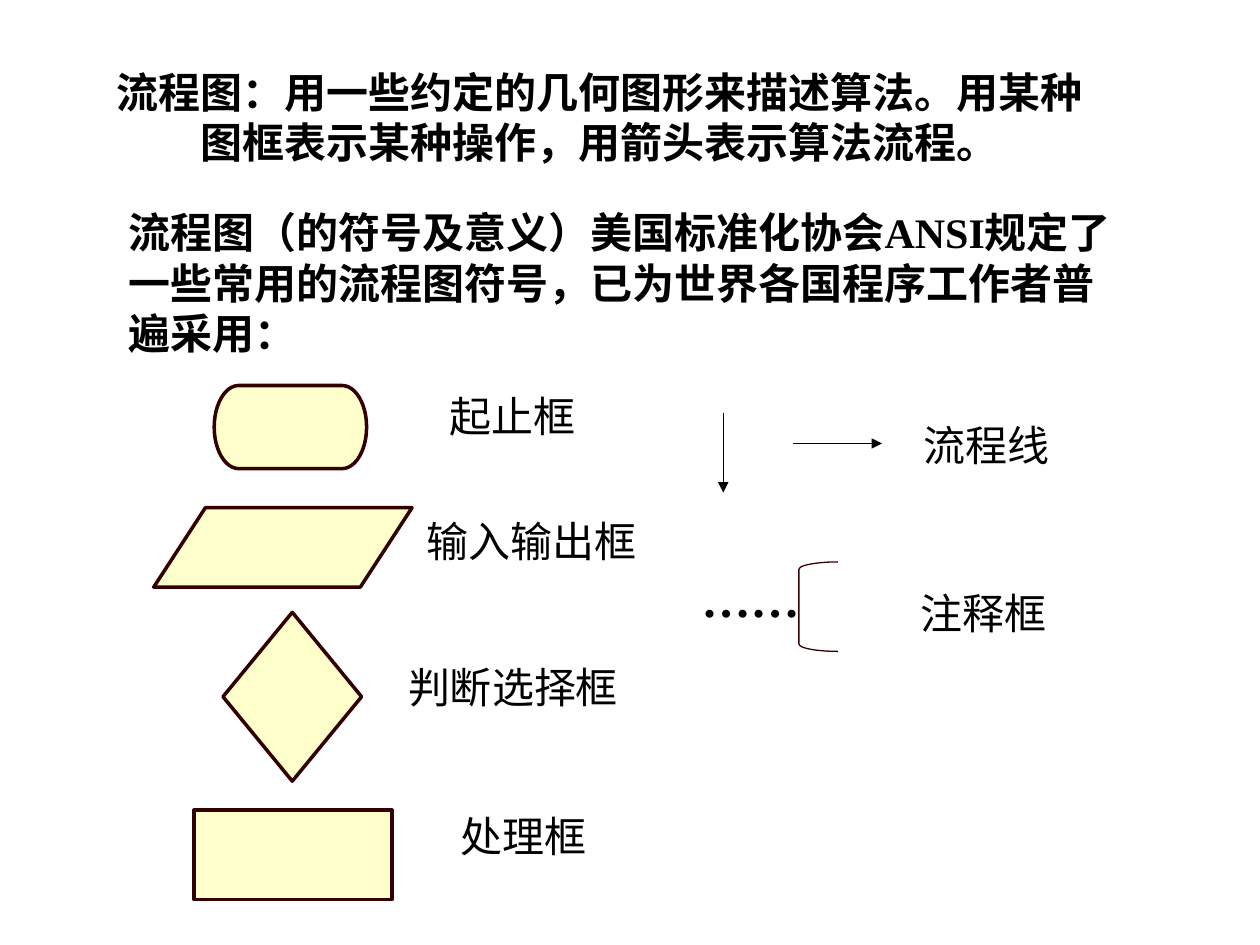
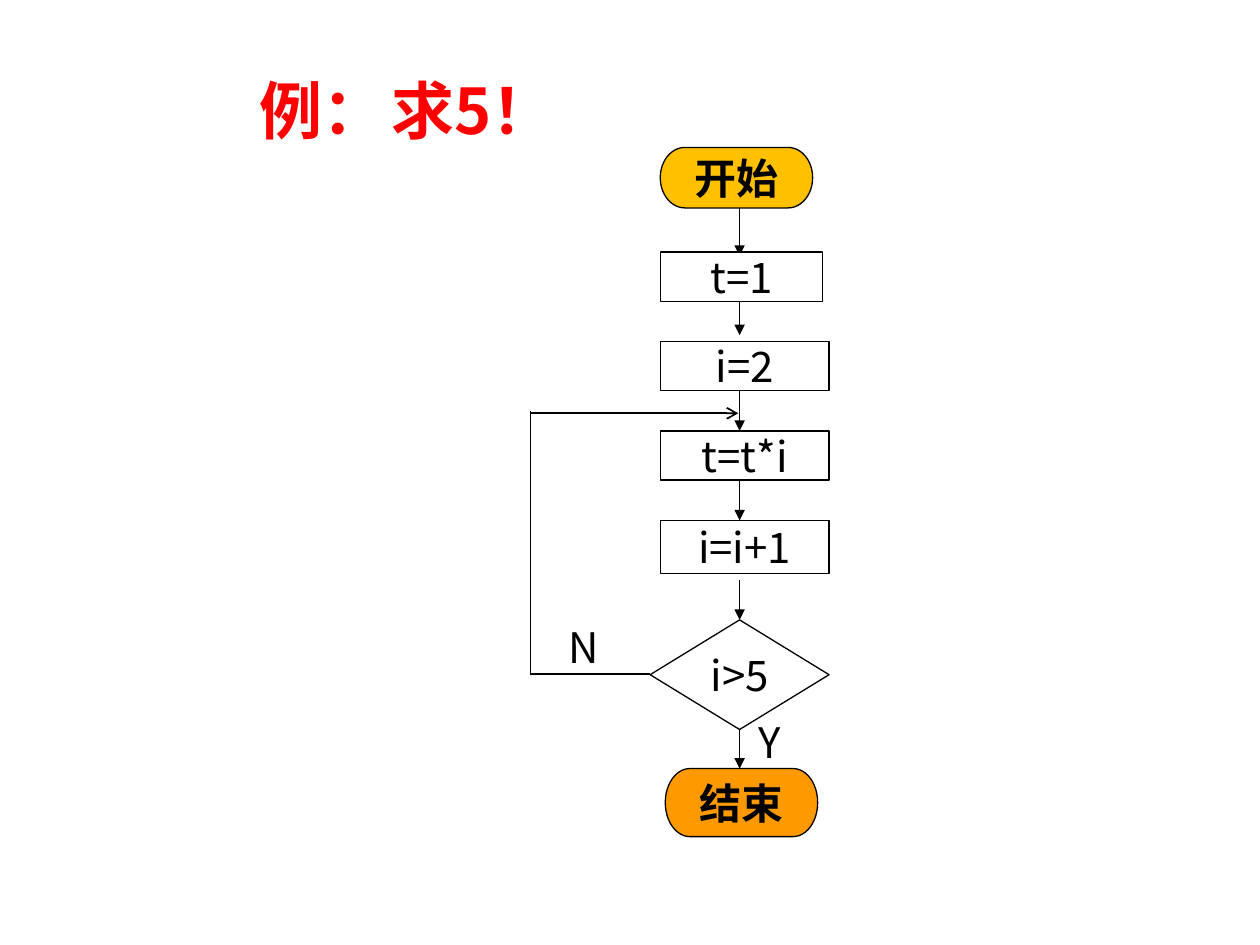
from dataclasses import dataclass
from lxml import etree
from pptx import Presentation
from pptx import util as u
from pptx.dml.color import RGBColor
from pptx.enum import shapes, text
from pptx.oxml import ns

KIND = shapes.MSO_SHAPE
ALIGN = text.PP_ALIGN


@dataclass(frozen=True)
class Theme:
    ink: str = "000000"
    red: str = "FF0000"
    white: str = "FFFFFF"
    cream: str = "FFFFCC"
    edge: str = "330000"
    gold: str = "FFC000"
    orange: str = "FF9900"
    serif: str = "Times New Roman"
    sans: str = "Noto Sans CJK SC"
    plain: str = "Arial"
    head: int = 36
    dots: int = 28
    size: int = 24
    gap: int = 16
    thin: float = 0.75
    thick: float = 2


T = Theme()
COLS, ROWS = 100, 75
WIDE, HIGH = u.Inches(10), u.Inches(7.5)
PAD = (0.02, 0.01)


# Shared tools: positions are columns and rows of the grid
def col(n):
    return round(WIDE * n / COLS)


def row(n):
    return round(HIGH * n / ROWS)


def place(item, box):
    x, y, w, h = box
    item.left, item.top, item.width, item.height = col(x), row(y), col(w), row(h)


def within(box, x, y, w, h):
    return box[0] + x, box[1] + y, w, h


def add_run(para, words, size=T.size, face=T.serif, color=T.ink, bold=False):
    run = para.add_run()
    run.text = words
    font = run.font
    font.size, font.name, font.bold = u.Pt(size), face, bold
    font.color.rgb = RGBColor.from_string(color)


def set_frame(item, pad=None, align=ALIGN.LEFT, wrap=True):
    frame = item.text_frame
    frame.word_wrap = wrap
    frame.auto_size = text.MSO_AUTO_SIZE.NONE
    frame.vertical_anchor = text.MSO_ANCHOR.MIDDLE
    if pad:
        frame.margin_left = frame.margin_right = u.Inches(pad[0])
        frame.margin_top = frame.margin_bottom = u.Inches(pad[1])
    para = frame.paragraphs[0]
    para.alignment = align
    para.space_before = u.Pt(0)
    return para


def add_text(slide, box, words, pad=None, align=ALIGN.LEFT, wrap=True, **style):
    item = slide.shapes.add_textbox(0, 0, 0, 0)
    place(item, box)
    add_run(set_frame(item, pad, align, wrap), words, **style)


def add_shape(slide, box, kind, fill, edge=T.ink, width=T.thin):
    item = slide.shapes.add_shape(kind, 0, 0, 0, 0)
    place(item, box)
    item.shadow.inherit = False
    if fill:
        item.fill.solid()
        item.fill.fore_color.rgb = RGBColor.from_string(fill)
    else:
        item.fill.background()
    item.line.color.rgb = RGBColor.from_string(edge)
    item.line.width = u.Pt(width)
    return item


def add_line(slide, box, start, end, tip=None, width=T.thin):
    x, y = box[:2]
    item = slide.shapes.add_connector(
        shapes.MSO_CONNECTOR.STRAIGHT,
        col(x + start[0]), row(y + start[1]), col(x + end[0]), row(y + end[1]))
    item.line.color.rgb = RGBColor.from_string(T.ink)
    item.line.width = u.Pt(width)
    props = item._element.spPr
    if tip:
        etree.SubElement(props.find(ns.qn("a:ln")), ns.qn("a:tailEnd"), type=tip)
    etree.SubElement(props, ns.qn("a:effectLst"))


def add_title(slide, box, pad=None):
    item = slide.shapes.title
    place(item, box)
    return set_frame(item, pad, ALIGN.CENTER)


# Slide 1: symbols of a flowchart
def add_lead(slide, box):
    item = slide.placeholders[1]
    place(item, box)
    para = set_frame(item, PAD)
    props = para._p.get_or_add_pPr()
    props.set("marL", "0")
    props.set("indent", "0")
    etree.SubElement(props, ns.qn("a:buNone"))
    add_run(para, "流程图（的符号及意义）美国标准化协会ANSI规定了一些常用的流程图符号，"
                  "已为世界各国程序工作者普遍采用：", bold=True)


def add_label(slide, box, x, y, words):
    spot = within(box, x, y, 4 * len(words) - 1.3 if len(words) > 3 else 12, 5)
    add_text(slide, spot, words, wrap=False)


def add_signs(slide, box):
    signs = [
        (KIND.FLOWCHART_TERMINATOR, (4.8, 0.6, 12.1, 6.6), "起止框", (22.5, 0.5)),
        (KIND.FLOWCHART_DATA, (0, 10.3, 20.5, 6.3), "输入输出框", (20.7, 10.4)),
        (KIND.FLOWCHART_DECISION, (5.5, 18.6, 11, 13.4), "判断选择框", (19.2, 22)),
        (KIND.FLOWCHART_PROCESS, (3.2, 34.3, 15.7, 7.1), "处理框", (23.4, 33.8)),
    ]
    for kind, part, name, spot in signs:
        add_shape(slide, within(box, *part), kind, T.cream, T.edge, T.thick)
        add_label(slide, box, *spot, name)


def add_marks(slide, box):
    # Flow lines
    add_line(slide, box, (2.7, 0), (2.7, 6.3), "triangle")
    add_line(slide, box, (8.2, 2.4), (15.3, 2.4), "triangle")
    add_label(slide, box, 17.6, 0, "流程线")
    # Note bracket with its dotted lead
    note = add_shape(slide, within(box, 8.7, 11.8, 3.1, 7.1), KIND.LEFT_BRACKET,
                     None, T.edge)
    note.adjustments[0] = 0.19
    add_text(slide, within(box, 0, 11.8, 9.8, 5.7), "……", wrap=False,
             size=T.dots, bold=True)
    add_label(slide, box, 17.4, 13.3, "注释框")


def symbols(deck):
    slide = deck.slides.add_slide(deck.slide_layouts[1])
    add_run(add_title(slide, (8.9, 5.1, 77.3, 8.3), PAD),
            "流程图：用一些约定的几何图形来描述算法。用某种图框表示某种操作，"
            "用箭头表示算法流程。", bold=True)
    add_lead(slide, (10, 16.2, 78.6, 12.4))
    add_signs(slide, (12.2, 30, 40, 42))
    add_marks(slide, (54.7, 32.8, 30, 20))


# Slide 2: flowchart of a factorial
def add_step(slide, box, kind, words, fill=T.white, bold=False):
    item = add_shape(slide, box, kind, fill)
    add_run(set_frame(item, (0.02, 0), ALIGN.CENTER), words, face=T.sans, bold=bold)


def add_flow(slide, box):
    mid, left, pitch = 16.6, 10.3, 7.1
    # Arrows down the spine
    for top, end in [(4.7, 8.6), (12.3, 14.9), (19.3, 22.5),
                     (26.4, 29.6), (34.3, 37.5), (46.1, 49.3)]:
        add_line(slide, box, (mid, top), (mid, end), "triangle")
    # Start, steps, test and end
    add_step(slide, within(box, left, 0, 12.1, 4.8), KIND.FLOWCHART_TERMINATOR,
             "开始", T.gold, True)
    steps = [("t=1", 12.9, 3.9), ("i=2", 13.4, 3.9),
             ("t=t*i", 13.4, 3.9), ("i=i+1", 13.4, 4.2)]
    for n, (words, w, h) in enumerate(steps):
        add_step(slide, within(box, left, 8.3 + n * pitch, w, h),
                 KIND.FLOWCHART_PROCESS, words)
    add_step(slide, within(box, 9.5, 37.5, 14.2, 8.7), KIND.FLOWCHART_DECISION, "i>5")
    add_step(slide, within(box, 10.7, 49.3, 12.1, 5.4), KIND.FLOWCHART_TERMINATOR,
             "结束", T.orange, True)
    # Loop back and branch names
    add_line(slide, box, (9.5, 41.8), (0, 41.8))
    add_line(slide, box, (0, 41.8), (0, 20.9))
    add_line(slide, box, (0, 21.1), (mid - 0.1, 21.1), "arrow", 1)
    add_text(slide, within(box, 1.9, 37.5, 4.7, 4.3), "N", PAD, ALIGN.CENTER,
             face=T.sans)
    add_text(slide, within(box, 18.1, 45.3, 3.2, 3.8), "Y", (0, 0), face=T.sans)


def example(deck):
    slide = deck.slides.add_slide(deck.slide_layouts[5])
    para = add_title(slide, (14.6, 5.2, 35.4, 7))
    add_run(para, "例：", T.head, T.serif, T.red, True)
    add_run(para, " ", T.gap, T.plain, T.red)
    add_run(para, "求5！", T.head, T.sans, T.red, True)
    add_flow(slide, (42.1, 11.7, 24, 55))


def main():
    deck = Presentation()
    deck.slide_width, deck.slide_height = WIDE, HIGH
    symbols(deck)
    example(deck)
    deck.save("out.pptx")


if __name__ == "__main__":
    main()
